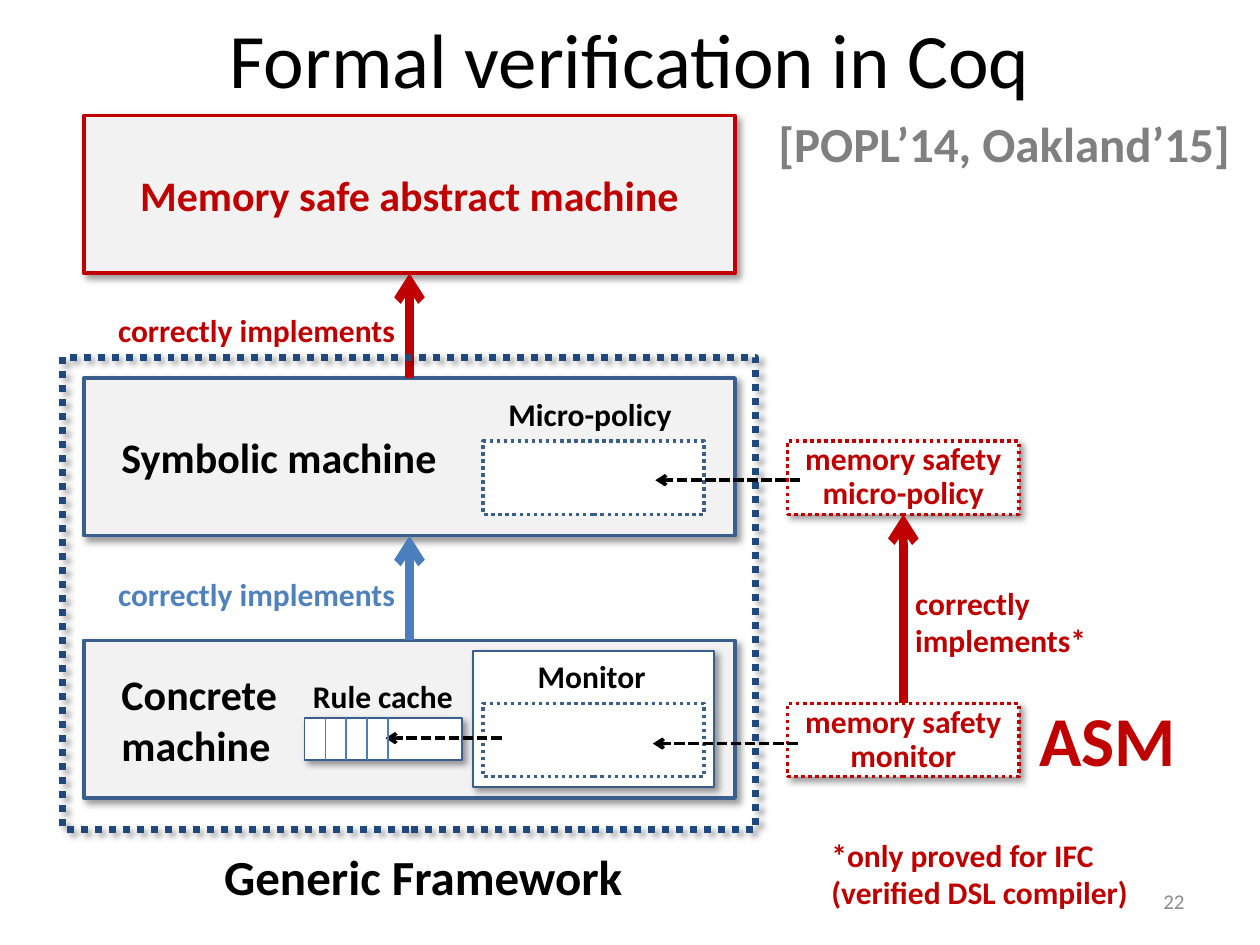
"""Build the slide on formal verification of memory safety."""
from dataclasses import dataclass

from lxml.etree import SubElement
from pptx import Presentation
from pptx.dml.color import RGBColor
from pptx.enum.dml import MSO_LINE
from pptx.enum.shapes import MSO_CONNECTOR, MSO_SHAPE
from pptx.enum.text import MSO_ANCHOR, MSO_AUTO_SIZE, PP_ALIGN
from pptx.oxml.ns import qn
from pptx.util import Cm, Pt


@dataclass(frozen=True)
class Theme:
    font: str = "Calibri"
    black: str = "000000"
    white: str = "FFFFFF"
    panel: str = "F2F2F2"
    red: str = "C00000"
    edge: str = "3A5F8C"
    arrow: str = "4B7EBC"
    blue: str = "4F81BD"
    navy: str = "1F497D"
    gray: str = "808080"
    pale: str = "8C8C8C"
    title: int = 44
    huge: int = 40
    large: int = 28
    medium: int = 24
    label: int = 18
    small: int = 12


class SlideBuilder:
    def __init__(self, page, theme):
        self.page = page
        self.theme = theme

    def fill_text(self, box, text, size, color, bold=True, align=PP_ALIGN.LEFT,
                  indent=0, spacing=None):
        frame = box.text_frame
        frame.text = text
        for para in frame.paragraphs:
            if indent:
                para._p.get_or_add_pPr().set("marL", str(Cm(indent)))
            para.alignment = align
            if spacing:
                para.line_spacing = spacing
            para.font.name = self.theme.font
            para.font.size = Pt(size)
            para.font.bold = bold
            para.font.color.rgb = RGBColor.from_string(color)

    def label(self, place, text, size, color, **style):
        box = self.page.shapes.add_textbox(*map(Cm, place))
        box.text_frame.word_wrap = False
        box.text_frame.auto_size = MSO_AUTO_SIZE.SHAPE_TO_FIT_TEXT
        self.fill_text(box, text, size, color, **style)

    def area(self, place, text, size, color, align):
        box = self.page.shapes.add_textbox(*map(Cm, place))
        box.text_frame.word_wrap = True
        box.text_frame.vertical_anchor = MSO_ANCHOR.MIDDLE
        self.fill_text(box, text, size, color, bold=False, align=align)

    def stroke(self, line, color, width, dash=None):
        line.color.rgb = RGBColor.from_string(color)
        line.width = Pt(width)
        if dash:
            line.dash_style = dash

    def rect(self, place, fill, edge, width=2, dash=None, shadow=True):
        box = self.page.shapes.add_shape(MSO_SHAPE.RECTANGLE, *map(Cm, place))
        box.shadow.inherit = False
        if fill:
            box.fill.solid()
            box.fill.fore_color.rgb = RGBColor.from_string(fill)
        else:
            box.fill.background()
        self.stroke(box.line, edge, width, dash)
        box.text_frame.vertical_anchor = MSO_ANCHOR.MIDDLE
        if shadow:
            effects = box._element.spPr.find(qn("a:effectLst"))
            outer = SubElement(effects, qn("a:outerShdw"), blurRad=str(Pt(4)),
                               dist=str(Pt(3)), dir="2700000", algn="tl",
                               rotWithShape="0")
            tint = SubElement(outer, qn("a:srgbClr"), val=self.theme.black)
            SubElement(tint, qn("a:alpha"), val="40000")
        return box

    def line(self, start, end, color, width, dash=None, head=True):
        link = self.page.shapes.add_connector(
            MSO_CONNECTOR.STRAIGHT, *map(Cm, (*start, *end)))
        self.stroke(link.line, color, width, dash)
        if head:
            outline = link._element.spPr.find(qn("a:ln"))
            SubElement(outline, qn("a:tailEnd"), type="arrow")
        SubElement(link._element.spPr, qn("a:effectLst"))
        return link

    def rise(self, lower, upper, color):
        link = self.line((0, 0), (0, 0), color, 5)
        link.begin_connect(lower, 0)
        link.end_connect(upper, 2)

    def machine(self, top, edge, text, color, **style):
        box = self.rect((1.69, top, 13.13, 3.18), self.theme.panel, edge)
        self.fill_text(box, text, self.theme.medium, color, **style)
        return box

    def slot(self, top):
        self.rect((9.74, top, 4.45, 1.48), self.theme.white, self.theme.edge,
                  dash=MSO_LINE.ROUND_DOT, shadow=False)

    def component(self, top, text):
        box = self.rect((15.88, top, 4.66, 1.48), self.theme.white,
                        self.theme.red, dash=MSO_LINE.ROUND_DOT)
        self.fill_text(box, text, self.theme.label, self.theme.red,
                       align=PP_ALIGN.CENTER, spacing=0.9)
        return box

    def plug(self, start, end, height):
        self.line((start, height), (end, height), self.theme.black, 2,
                  MSO_LINE.SQUARE_DOT)


def main():
    theme = Theme()
    deck = Presentation()
    deck.slide_width, deck.slide_height = Cm(25.4), Cm(19.05)
    page = deck.slides.add_slide(deck.slide_layouts[6])
    build = SlideBuilder(page, theme)
    first, step, slot_drop = 2.33, 5.29, 1.27
    symbolic_top, concrete_top = first + step, first + 2 * step

    build.area((1.27, -0.43, 22.86, 3.18), "Formal verification in Coq",
               theme.title, theme.black, PP_ALIGN.CENTER)
    build.area((18.2, 17.66, 5.93, 1.01), "22", theme.small, theme.pale,
               PP_ALIGN.RIGHT)

    abstract = build.machine(first, theme.red, "Memory safe abstract machine",
                             theme.red, align=PP_ALIGN.CENTER)
    symbolic = build.machine(symbolic_top, theme.edge, "Symbolic machine",
                             theme.black, indent=0.51)
    concrete = build.machine(concrete_top, theme.edge, "Concrete\nmachine",
                             theme.black, indent=0.51)
    build.rise(symbolic, abstract, theme.red)
    build.rise(concrete, symbolic, theme.arrow)
    for top, color in ((6.15, theme.red), (11.46, theme.blue)):
        build.label((2.13, top, 6.12, 1.03), "correctly implements",
                    theme.label, color)

    build.slot(symbolic_top + slot_drop)
    build.label((10, 7.83, 3.96, 1.03), "Micro-policy", theme.label, theme.black)
    policy = build.component(symbolic_top + slot_drop,
                             "memory safety\nmicro-policy")
    monitor = build.component(concrete_top + slot_drop, "memory safety\nmonitor")
    build.plug(16.13, 13.21, 9.68)
    build.rise(monitor, policy, theme.red)
    build.label((18.2, 11.64, 3.99, 1.8), "correctly\nimplements*",
                theme.label, theme.red)
    build.rect((1.27, 7.2, 13.97, 9.52), None, theme.navy, 4, MSO_LINE.ROUND_DOT)

    build.rect((9.53, 13.12, 4.87, 2.75), theme.white, theme.edge, 1)
    build.slot(concrete_top + slot_drop)
    build.label((10.59, 13.12, 2.69, 1.03), "Monitor", theme.label, theme.black)
    cache_left, cache_top, cache_height, cell = 6.14, 14.47, 0.85, 0.42
    build.rect((cache_left, cache_top, 3.18, cache_height), theme.white,
               theme.edge, 1)
    build.label((6.06, 13.52, 3.35, 1.03), "Rule cache", theme.label, theme.black)
    build.plug(10.11, 7.77, 14.88)
    for number in range(1, 5):
        across = cache_left + number * cell
        build.line((across, cache_top), (across, cache_top + cache_height),
                   theme.arrow, 1, head=False)
    build.plug(16.08, 13.16, 14.99)

    build.label((3.76, 16.94, 9.14, 1.45), "Generic Framework", theme.large,
                theme.black, indent=0.51)
    build.label((20.7, 13.92, 3.3, 1.96), "ASM", theme.huge, theme.red)
    build.label((16.51, 16.72, 6.55, 1.8),
                "*only proved for IFC\v(verified DSL compiler)",
                theme.label, theme.red)
    build.label((15.44, 2.16, 9.73, 1.45), "[POPL’14, Oakland’15]", theme.large,
                theme.gray)
    deck.save("out.pptx")


if __name__ == "__main__":
    main()
